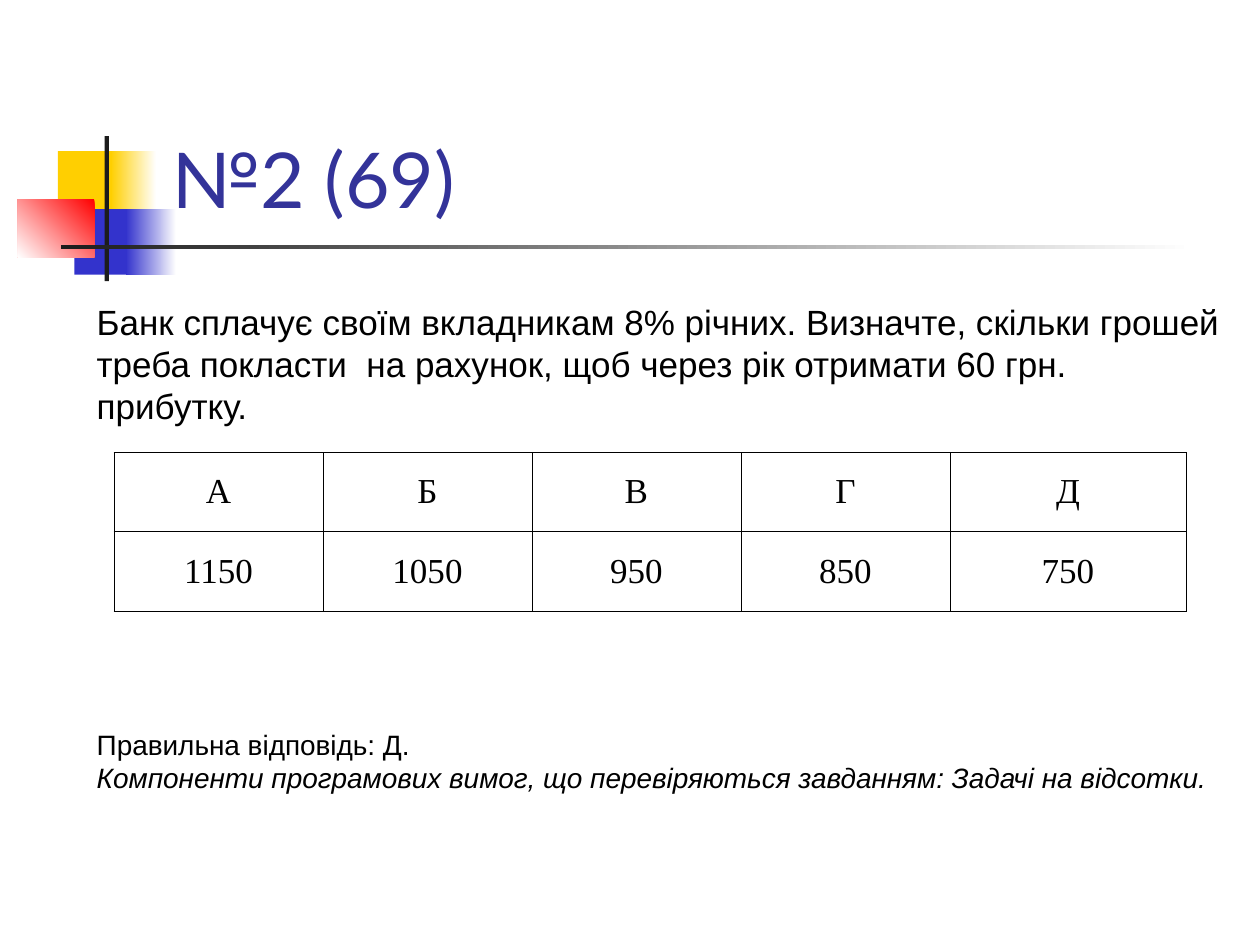
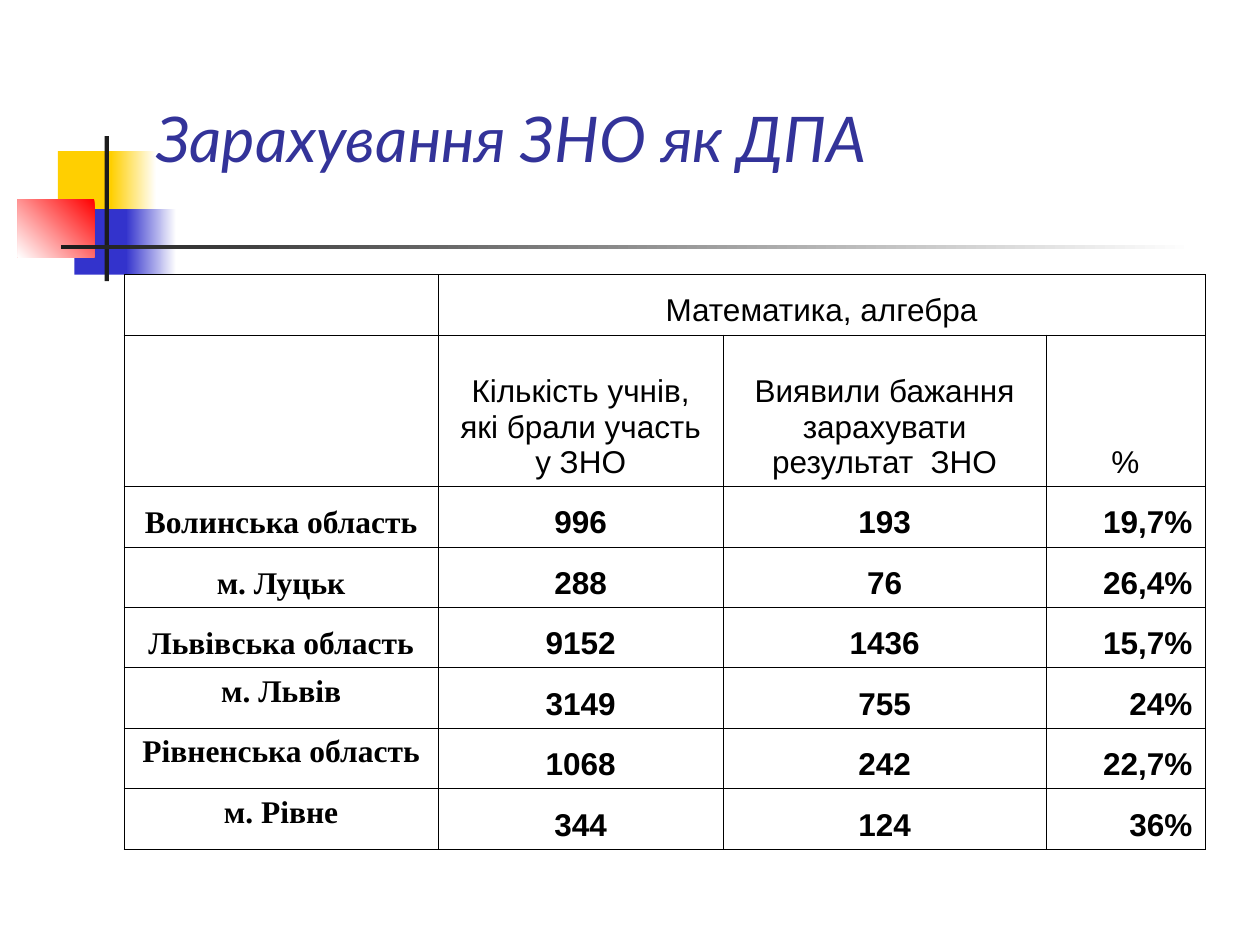
from lxml.etree import SubElement
from pptx import Presentation
from pptx.dml.color import RGBColor
from pptx.enum.shapes import MSO_SHAPE as Preset
from pptx.enum.text import MSO_ANCHOR as Anchor, MSO_AUTO_SIZE as AutoSize, PP_ALIGN as Align
from pptx.oxml.ns import qn
from pptx.util import Pt

WHITE = RGBColor(0xFF, 0xFF, 0xFF)
BLACK = RGBColor(0x00, 0x00, 0x00)
YELLOW = RGBColor(0xFF, 0xCF, 0x01)
BLUE = RGBColor(0x33, 0x33, 0xCC)
RED = RGBColor(0xFF, 0x00, 0x00)
CHARCOAL = RGBColor(0x1C, 0x1C, 0x1C)
INDIGO = RGBColor(0x33, 0x33, 0x99)

TITLE_FONT = "Lato"
SANS = "Arial"
SERIF = "Times New Roman"


def format_paragraph(para, name, size, color=BLACK, align=Align.LEFT, bold=False, italic=False):
    para.alignment = align
    font = para.font
    font.name, font.size, font.color.rgb = name, Pt(size), color
    font.bold, font.italic = bold, italic


def add_grid(page, rows, left, top, widths, heights):
    frame = page.shapes.add_table(
        len(rows), len(widths), Pt(left), Pt(top), Pt(sum(widths)), Pt(sum(heights)))
    table = frame.table
    table.first_row = table.horz_banding = False
    for column, width in zip(table.columns, widths):
        column.width = Pt(width)
    for row, height, texts in zip(table.rows, heights, rows):
        row.height = Pt(height)
        for cell, text in zip(row.cells, texts):
            cell.text = text
            properties = cell._tc.get_or_add_tcPr()
            for side in ("a:lnL", "a:lnR", "a:lnT", "a:lnB"):
                line = SubElement(properties, qn(side), w=str(Pt(0.45)))
                fill = SubElement(line, qn("a:solidFill"))
                SubElement(fill, qn("a:srgbClr"), val=str(BLACK))
            cell.fill.background()
    return table


deck = Presentation()
deck.slide_width, deck.slide_height = Pt(720), Pt(540)
layout = deck.slide_layouts.get_by_name("Title Only")
for holder in list(layout.placeholders)[1:]:
    layout.shapes.element.remove(holder.element)

titles = [
    ("№2 (69)", 44, False, (90.7, 16.6, 613.4, 115.2)),
    ("Зарахування ЗНО як ДПА", 36, True, (82.1, 43.2, 613.4, 60.5)),
]
pages = []
for text, size, italic, place in titles:
    page = deck.slides.add_slide(layout)
    title = page.shapes.title
    title.left, title.top, title.width, title.height = map(Pt, place)
    title.text_frame.text = text
    title.text_frame.auto_size = AutoSize.NONE
    title.text_frame.vertical_anchor = Anchor.BOTTOM
    format_paragraph(title.text_frame.paragraphs[0], TITLE_FONT, size, INDIGO, italic=italic)
    pages.append(page)
task_page, results_page = pages

ornament = [
    ((33.1, 86.4, 34.6, 37.4), YELLOW, YELLOW, 180),
    ((63.4, 86.4, 25.9, 37.4), WHITE, YELLOW, 180),
    ((42.5, 119.5, 33.1, 37.4), BLUE, BLUE, 180),
    ((72, 119.5, 28.8, 37.4), WHITE, BLUE, 180),
    ((10.1, 113.8, 43.9, 33.1), RED, WHITE, 225),
    ((59.8, 77.8, 2.4, 82.8), CHARCOAL, CHARCOAL, 180),
    ((34.6, 140.1, 648, 2.4), WHITE, CHARCOAL, 180),
]
for place, start, end, angle in ornament:
    block = task_page.shapes.add_shape(Preset.RECTANGLE, *map(Pt, place))
    block.shadow.inherit = False
    block.line.fill.background()
    if start == end:
        block.fill.solid()
        block.fill.fore_color.rgb = start
    else:
        block.fill.gradient()
        block.fill.gradient_angle = angle
        for stop, color in zip(block.fill.gradient_stops, (start, end)):
            stop.color.rgb = color
    layout.shapes.element.append(block.element)

task_texts = [
    ((48.2, 168, 657.4, 76.2), 20, [
        ("Банк сплачує своїм вкладникам 8% річних. Визначте, скільки грошей треба "
         "покласти  на рахунок, щоб через рік отримати 60 грн. прибутку.", False)]),
    ((48.2, 412, 648.7, 62.4), 16, [
        ("Правильна відповідь: Д.", False),
        ("Компоненти програмових вимог, що перевіряються завданням: "
         "Задачі на відсотки.", True)]),
]
for place, size, lines in task_texts:
    box = task_page.shapes.add_textbox(*map(Pt, place))
    frame = box.text_frame
    frame.word_wrap = True
    frame.text = "\n".join(text for text, italic in lines)
    for para, (text, italic) in zip(frame.paragraphs, lines):
        format_paragraph(para, SANS, size, italic=italic)

answers = add_grid(
    task_page,
    [("А", "Б", "В", "Г", "Д"), ("1150", "1050", "950", "850", "750")],
    65.2, 258.5, [119.4] * 4 + [135], [45.4] * 2)
for cell in answers.iter_cells():
    cell.vertical_anchor = Anchor.MIDDLE
    format_paragraph(cell.text_frame.paragraphs[0], SERIF, 20, align=Align.CENTER)

results_rows = [
    ("", "Математика, алгебра", "", ""),
    ("", "Кількість учнів, які брали участь у ЗНО",
     "Виявили бажання зарахувати результат  ЗНО", "%"),
    ("Волинська область", "996", "193", "19,7%"),
    ("м. Луцьк", "288", "76", "26,4%"),
    ("Львівська область", "9152", "1436", "15,7%"),
    ("м. Львів", "3149", "755", "24%"),
    ("Рівненська область", "1068", "242", "22,7%"),
    ("м. Рівне", "344", "124", "36%"),
]
header_count, first_top_row = 2, 5
results = add_grid(
    results_page, results_rows, 70.9, 156.8,
    [179.5, 162.9, 184.5, 90.8], [34.56, 86.6] + [34.56] * 6)
results.cell(0, 1).merge(results.cell(0, 3))
for row_index, row in enumerate(results.rows):
    is_data = row_index >= header_count
    for column_index, cell in enumerate(row.cells):
        is_region = is_data and column_index == 0
        is_share = is_data and column_index == 3
        at_top = is_region and row_index >= first_top_row
        cell.vertical_anchor = Anchor.TOP if at_top else Anchor.BOTTOM
        format_paragraph(
            cell.text_frame.paragraphs[0], SERIF if is_region else SANS, 18,
            align=Align.RIGHT if is_share else Align.CENTER, bold=is_data)

deck.save("out.pptx")
